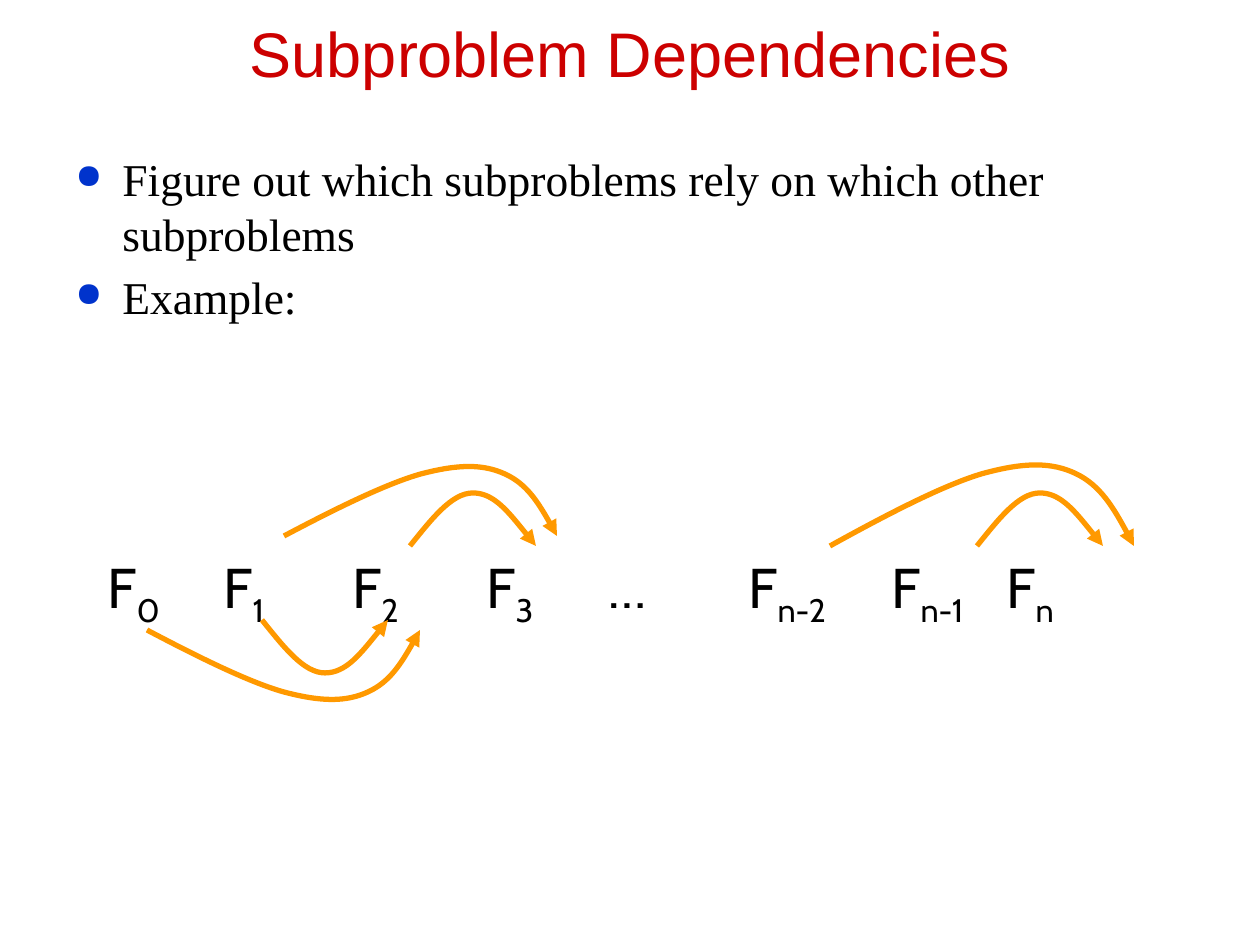
from dataclasses import dataclass

from lxml import etree
from pptx import Presentation
from pptx import util as u
from pptx.dml.color import RGBColor
from pptx.enum import text
from pptx.oxml.ns import qn

PX = 914400 // 126
RED = RGBColor(0xCC, 0x00, 0x00)
BLUE = RGBColor(0x00, 0x33, 0xCC)
BLACK = RGBColor(0x00, 0x00, 0x00)
ORANGE = RGBColor(0xFF, 0x99, 0x00)

TITLE_FONT = {"name": "Arial", "size": u.Pt(36), "color": RED}
BODY_FONT = {"name": "Times New Roman", "size": u.Pt(26), "color": BLACK}
TERM_FONT = {"name": "Cabin", "size": u.Pt(32), "color": BLACK}

SHORT_ARC = [(0, 0), (0.17, 0.5), (0.33, 1), (0.5, 1), (0.67, 1), (0.83, 0.5), (1, 0)]
LONG_ARC = [(0, 0), (0.18, 0.36), (0.37, 0.72), (0.5, 0.86), (0.64, 1),
            (0.73, 1), (0.81, 0.86), (0.89, 0.72), (0.95, 0.36), (1, 0)]


@dataclass
class Term:
    offset: int
    base: str
    subscript: str = ""


@dataclass
class Dependency:
    left: int
    top: int
    width: int
    drop: int
    profile: list


BULLETS = [
    "Figure out which subproblems rely on which other subproblems",
    "Example:",
]
TERMS = [
    Term(0, "F", "0"),
    Term(116, "F", "1"),
    Term(245, "F", "2"),
    Term(379, "F", "3"),
    Term(501, "…"),
    Term(641, "F", "n-2"),
    Term(784, "F", "n-1"),
    Term(899, "F", "n"),
]
DEPENDENCIES = [
    Dependency(262, 620, 126, 53, SHORT_ARC),
    Dependency(410, 546, 126, -53, SHORT_ARC),
    Dependency(977, 546, 126, -53, SHORT_ARC),
    Dependency(147, 630, 273, 72, LONG_ARC),
    Dependency(284, 536, 273, -72, LONG_ARC),
    Dependency(830, 546, 304, -84, LONG_ARC),
]


def add_text_frame(slide, left: int, top: int, width: int, height: int):
    box = slide.shapes.add_textbox(left * PX, top * PX, width * PX, height * PX)
    box.text_frame.word_wrap = True
    return box.text_frame


def add_run(paragraph, wording: str, style: dict):
    run = paragraph.add_run()
    run.text = wording
    for name, value in style.items():
        if name == "color":
            run.font.color.rgb = value
        else:
            setattr(run.font, name, value)
    return run


def add_title(slide) -> None:
    frame = add_text_frame(slide, 63, 32, 1134, 64)
    frame.vertical_anchor = text.MSO_ANCHOR.BOTTOM
    paragraph = frame.paragraphs[0]
    paragraph.alignment = text.PP_ALIGN.CENTER
    add_run(paragraph, "Subproblem Dependencies", TITLE_FONT)


def add_bullets(slide) -> None:
    frame = add_text_frame(slide, 63, 145, 1134, 598)
    for index, wording in enumerate(BULLETS):
        paragraph = frame.add_paragraph() if index else frame.paragraphs[0]
        paragraph.space_before = u.Pt(5.2)
        add_run(paragraph, wording, BODY_FONT)
        properties = paragraph._p.get_or_add_pPr()
        properties.set("marL", str(47 * PX))
        properties.set("indent", str(-47 * PX))
        color = etree.SubElement(properties, qn("a:buClr"))
        etree.SubElement(color, qn("a:srgbClr"), val=str(BLUE))
        etree.SubElement(properties, qn("a:buSzPct"), val="75000")
        etree.SubElement(properties, qn("a:buChar"), char="●")


def add_terms(slide) -> None:
    paragraph = add_text_frame(slide, 95, 546, 1113, 81).paragraphs[0]
    tabs = etree.SubElement(paragraph._p.get_or_add_pPr(), qn("a:tabLst"))
    for index, term in enumerate(TERMS):
        if index:
            etree.SubElement(tabs, qn("a:tab"), pos=str(term.offset * PX), algn="l")
        add_run(paragraph, "\t" + term.base if index else term.base, TERM_FONT)
        if term.subscript:
            run = add_run(paragraph, term.subscript, TERM_FONT)
            run._r.get_or_add_rPr().set("baseline", "-25000")


def add_dependency(slide, dependency: Dependency) -> None:
    points = [
        (round((dependency.left + x * dependency.width) * PX),
         round((dependency.top + y * dependency.drop) * PX))
        for x, y in dependency.profile
    ]
    builder = slide.shapes.build_freeform(*points[0])
    builder.add_line_segments(points[1:], close=False)
    shape = builder.convert_to_shape()
    shape.shadow.inherit = False
    shape.fill.background()
    shape.line.color.rgb = ORANGE
    shape.line.width = u.Pt(3)
    etree.SubElement(shape.line._get_or_add_ln(), qn("a:tailEnd"), type="triangle")
    segments = list(shape._element.iter(qn("a:lnTo")))
    outline = segments[0].getparent()
    for start in range(0, len(segments), 3):
        curve = etree.SubElement(outline, qn("a:cubicBezTo"))
        for segment in segments[start:start + 3]:
            curve.append(segment[0])
            outline.remove(segment)


def main() -> None:
    presentation = Presentation()
    presentation.slide_width = 1260 * PX
    presentation.slide_height = 945 * PX
    slide = presentation.slides.add_slide(presentation.slide_layouts[6])
    add_title(slide)
    add_bullets(slide)
    add_terms(slide)
    for dependency in DEPENDENCIES:
        add_dependency(slide, dependency)
    presentation.save("out.pptx")


if __name__ == "__main__":
    main()
